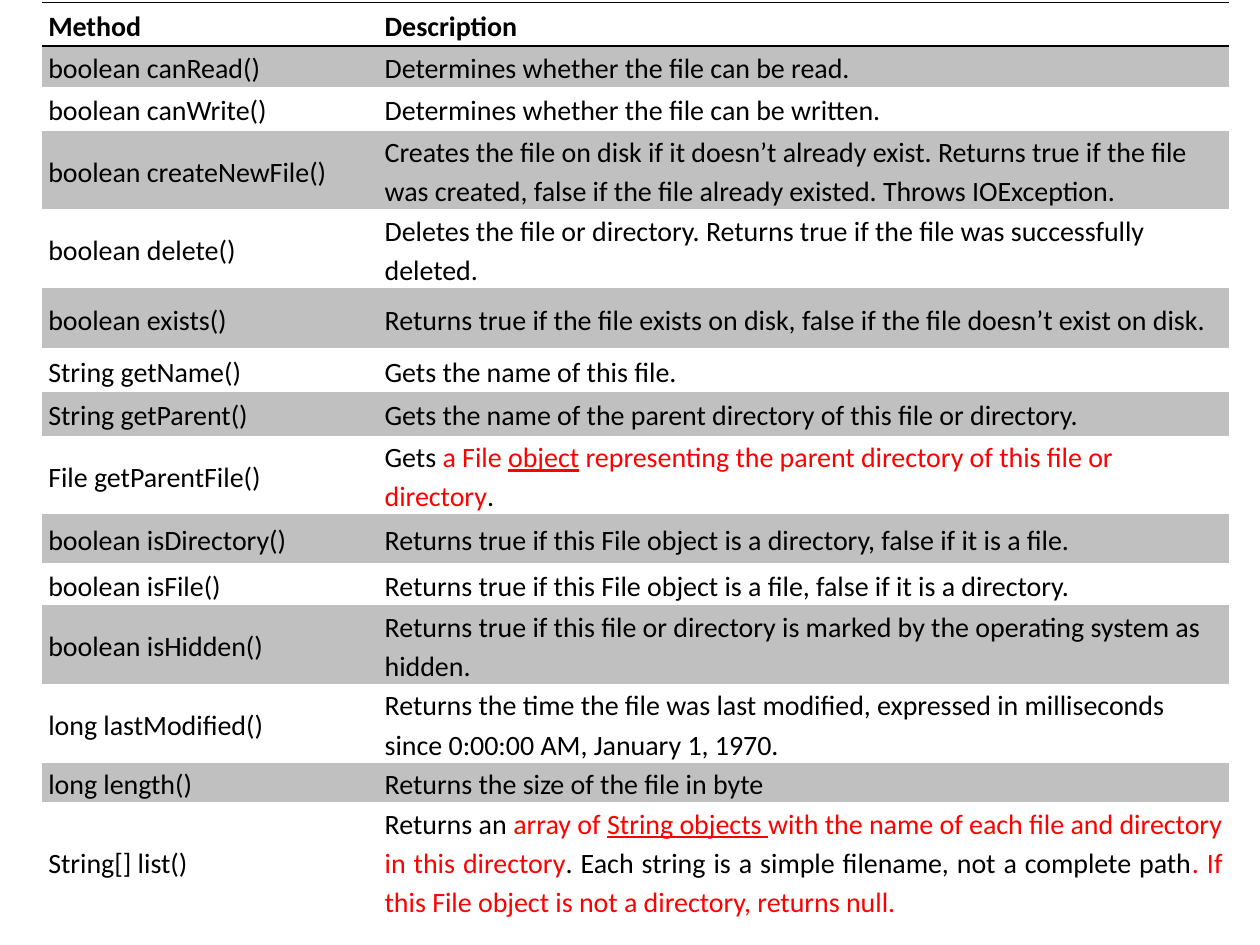
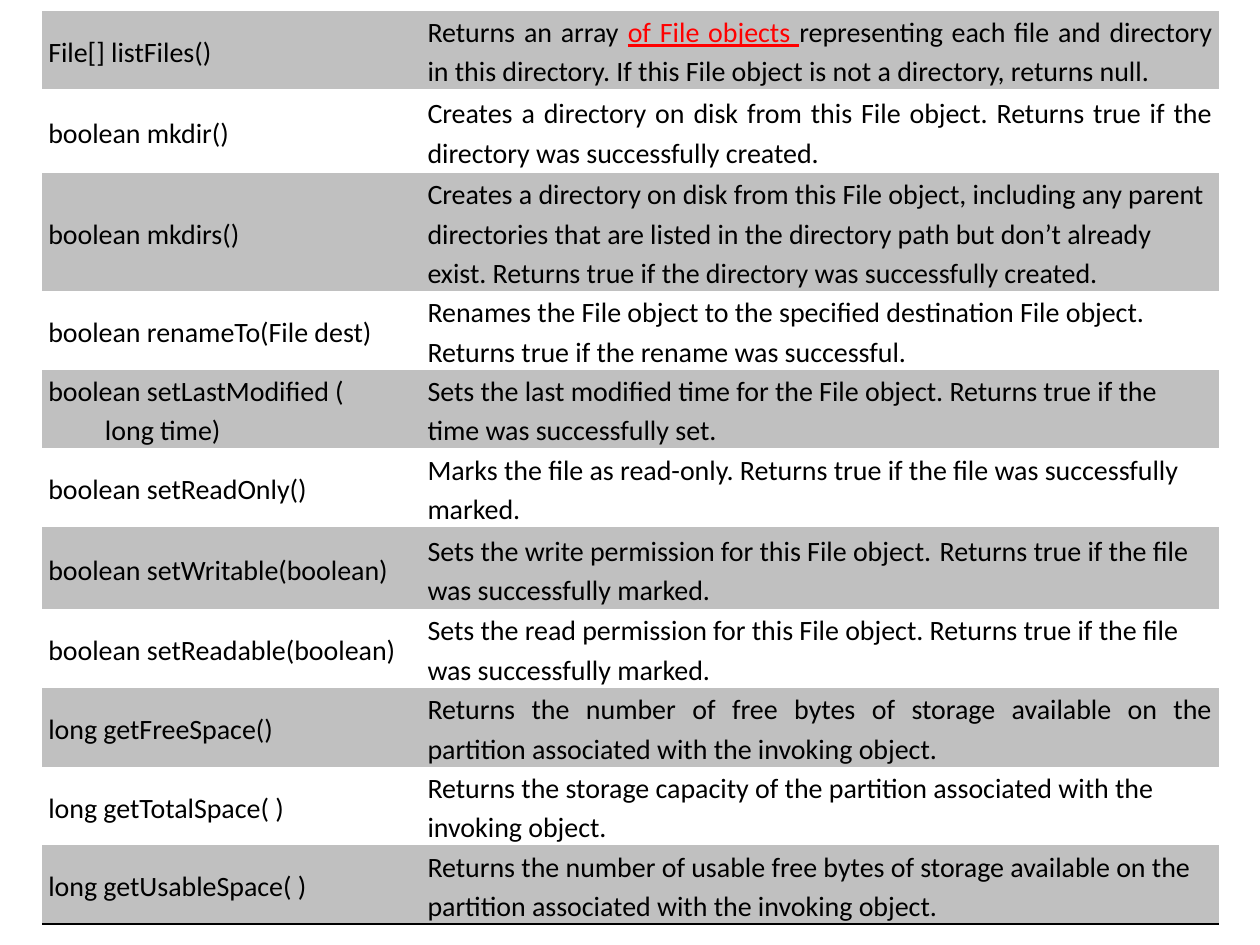
from lxml import etree
from pptx import Presentation
from pptx.dml.color import RGBColor
from pptx.enum.text import MSO_ANCHOR, PP_ALIGN
from pptx.oxml.ns import qn
from pptx.util import Inches, Pt

MIDDLE = MSO_ANCHOR.MIDDLE
LEFT, JUSTIFY = PP_ALIGN.LEFT, PP_ALIGN.JUSTIFY

COLORS = {"text": "000000", "accent": "FF0000", "band": "C0C0C0", "rule": "000000"}

# Styles of the marked parts of a description
ACCENT = {"color": "accent"}
ACCENT_LINE = {"color": "accent", "underline": True}
WIDE_SPACE = {"font": "Times New Roman", "size": 18}

# Each row: height in percent of the slide, method, description, alignment.
# A description is a string or a list of strings and (string, style) pairs.
HEADER = (4.6, "Method", "Description", LEFT)

QUERY_METHODS = [
    (4.3, "boolean canRead()", "Determines whether the file can be read.", LEFT),
    (4.67, "boolean canWrite()", "Determines whether the file can be written.", LEFT),
    (7.87, "boolean createNewFile()",
     "Creates the file on disk if it doesn’t already exist. Returns true if the file "
     "was created, false if the file already existed. Throws IOException.", LEFT),
    (7.87, "boolean delete()",
     "Deletes the file or directory. Returns true if the file was successfully deleted.", LEFT),
    (6.35, "boolean exists()",
     "Returns true if the file exists on disk, false if the file doesn’t exist on disk.", LEFT),
    (4.6, "String getName()", "Gets the name of this file.", LEFT),
    (4.67, "String getParent()",
     "Gets the name of the parent directory of this file or directory.", LEFT),
    (7.87, "File getParentFile()",
     ["Gets ", ("a File ", ACCENT), ("object", ACCENT_LINE),
      (" representing the parent directory of this file or directory", ACCENT), "."], LEFT),
    (5.13, "boolean isDirectory()",
     "Returns true if this File object is a directory, false if it is a file.", LEFT),
    (4.5, "boolean isFile()",
     "Returns true if this File object is a file, false if it is a directory.", LEFT),
    (7.87, "boolean isHidden()",
     "Returns true if this file or directory is marked by the operating system as hidden.", LEFT),
    (7.87, "long lastModified()",
     "Returns the time the file was last modified, expressed in milliseconds "
     "since 0:00:00 AM, January 1, 1970.", LEFT),
    (3.87, "long length()", "Returns the size of the file in byte", LEFT),
    (11.73, "String[] list()",
     ["Returns an ", ("array of ", ACCENT), ("String objects ", ACCENT_LINE),
      ("with the name of each file and directory in this directory", ACCENT),
      ". Each string is a simple filename, not a complete path",
      (". If this File object is not a directory, returns null.", ACCENT)], JUSTIFY),
]

CHANGE_METHODS = [
    (8.13, "File[] listFiles()",
     ["Returns an array ", ("of File objects ", ACCENT_LINE),
      "representing each file and directory in this directory. "
      "If this File object is not a directory, returns null."], JUSTIFY),
    (8.85, "boolean mkdir()",
     "Creates a directory on disk from this File object. Returns true if the directory "
     "was successfully created.", JUSTIFY),
    (12.13, "boolean mkdirs()",
     "Creates a directory on disk from this File object, including any parent directories "
     "that are listed in the directory path but don’t already exist. Returns true if the "
     "directory was successfully created.", LEFT),
    (8.13, "boolean renameTo(File dest)",
     "Renames the File object to the specified destination File object. "
     "Returns true if the rename was successful.", LEFT),
    (8.13, "boolean setLastModified (\n         long time)",
     "Sets the last modified time for the File object. Returns true if the time was "
     "successfully set.", LEFT),
    (8.13, "boolean setReadOnly()",
     "Marks the file as read-only. Returns true if the file was successfully marked.", LEFT),
    (8.67, "boolean setWritable(boolean)",
     ["Sets the write permission for this File object.", (" ", WIDE_SPACE),
      "Returns true if the file was successfully marked."], LEFT),
    (8.13, "boolean setReadable(boolean)",
     "Sets the read permission for this File object. Returns true if the file was "
     "successfully marked.", LEFT),
    (8.13, "long getFreeSpace()",
     "Returns the number of free bytes of storage available on the partition associated "
     "with the invoking object.", JUSTIFY),
    (8.13, "long getTotalSpace( )",
     "Returns the storage capacity of the partition associated with the invoking object.", LEFT),
    (8.13, "long getUsableSpace( )",
     "Returns the number of usable free bytes of storage available on the partition "
     "associated with the invoking object.", LEFT),
]


class MethodDeck:
    """Holds the style and the current slide; lengths are percents of the slide."""

    font, size, line_spacing = "Calibri", 16, 1.15
    side_inset = Inches(0.05)
    left = 3.33

    def __init__(self):
        self.prs = Presentation()
        self.prs.slide_width, self.prs.slide_height = Inches(10), Inches(7.5)
        self.slide = None

    def x(self, percent):
        return round(self.prs.slide_width * percent / 100)

    def y(self, percent):
        return round(self.prs.slide_height * percent / 100)

    def add_slide(self):
        self.slide = self.prs.slides.add_slide(self.prs.slide_layouts[6])

    def set_font(self, target, color=None, underline=None, font=None, size=None):
        if color:
            target.color.rgb = RGBColor.from_string(COLORS[color])
        if underline:
            target.underline = True
        if font:
            target.name = font
        if size:
            target.size = Pt(size)

    def fill_text(self, cell, content, align, bold):
        cell.vertical_anchor = MIDDLE
        cell.margin_left = cell.margin_right = self.side_inset
        cell.margin_top = cell.margin_bottom = 0
        frame = cell.text_frame
        lines = [[line] for line in content.split("\n")] if isinstance(content, str) else [content]
        for number, parts in enumerate(lines):
            paragraph = frame.add_paragraph() if number else frame.paragraphs[0]
            paragraph.alignment = align
            paragraph.line_spacing = self.line_spacing
            paragraph.font.bold = bold
            self.set_font(paragraph.font, "text", font=self.font, size=self.size)
            for part in parts:
                text, style = (part, {}) if isinstance(part, str) else part
                run = paragraph.add_run()
                run.text = text
                self.set_font(run.font, **style)

    def paint(self, cell, banded, ruled_edges):
        """Fills the cell and draws rules on the given edges only."""
        if banded:
            cell.fill.solid()
            cell.fill.fore_color.rgb = RGBColor.from_string(COLORS["band"])
        else:
            cell.fill.background()
        properties = cell._tc.get_or_add_tcPr()
        for position, edge in enumerate("LRTB"):
            line = etree.Element(qn(f"a:ln{edge}"), w=str(Pt(1)))
            if edge in ruled_edges:
                fill = etree.SubElement(line, qn("a:solidFill"))
                etree.SubElement(fill, qn("a:srgbClr"), val=COLORS["rule"])
            else:
                etree.SubElement(line, qn("a:noFill"))
            properties.insert(position, line)

    def method_table(self, top, widths, methods, header=None, closed=False):
        rows = ([header] if header else []) + methods
        table = self.slide.shapes.add_table(
            len(rows), len(widths), self.x(self.left), self.y(top),
            self.x(sum(widths)), self.y(sum(row[0] for row in rows))).table
        table.first_row = table.horz_banding = False
        for column, width in zip(table.columns, widths):
            column.width = self.x(width)
        first_band = 1 if header else 0
        for index, (height, method, description, align) in enumerate(rows):
            table.rows[index].height = self.y(height)
            is_header = index < first_band
            edges = "TB" if is_header else ""
            if header and index == first_band:
                edges = "T"
            if closed and index == len(rows) - 1:
                edges = "B"
            for column, (content, alignment) in enumerate([(method, LEFT), (description, align)]):
                cell = table.cell(index, column)
                self.fill_text(cell, content, alignment, is_header)
                self.paint(cell, index % 2 == first_band, edges)


def main():
    deck = MethodDeck()

    # File methods, first part
    deck.add_slide()
    deck.method_table(0.27, (26.7, 67.5), QUERY_METHODS, header=HEADER)

    # File methods, continued
    deck.add_slide()
    deck.method_table(1.13, (30.1, 63.3), CHANGE_METHODS, closed=True)

    deck.prs.save("out.pptx")


if __name__ == "__main__":
    main()
